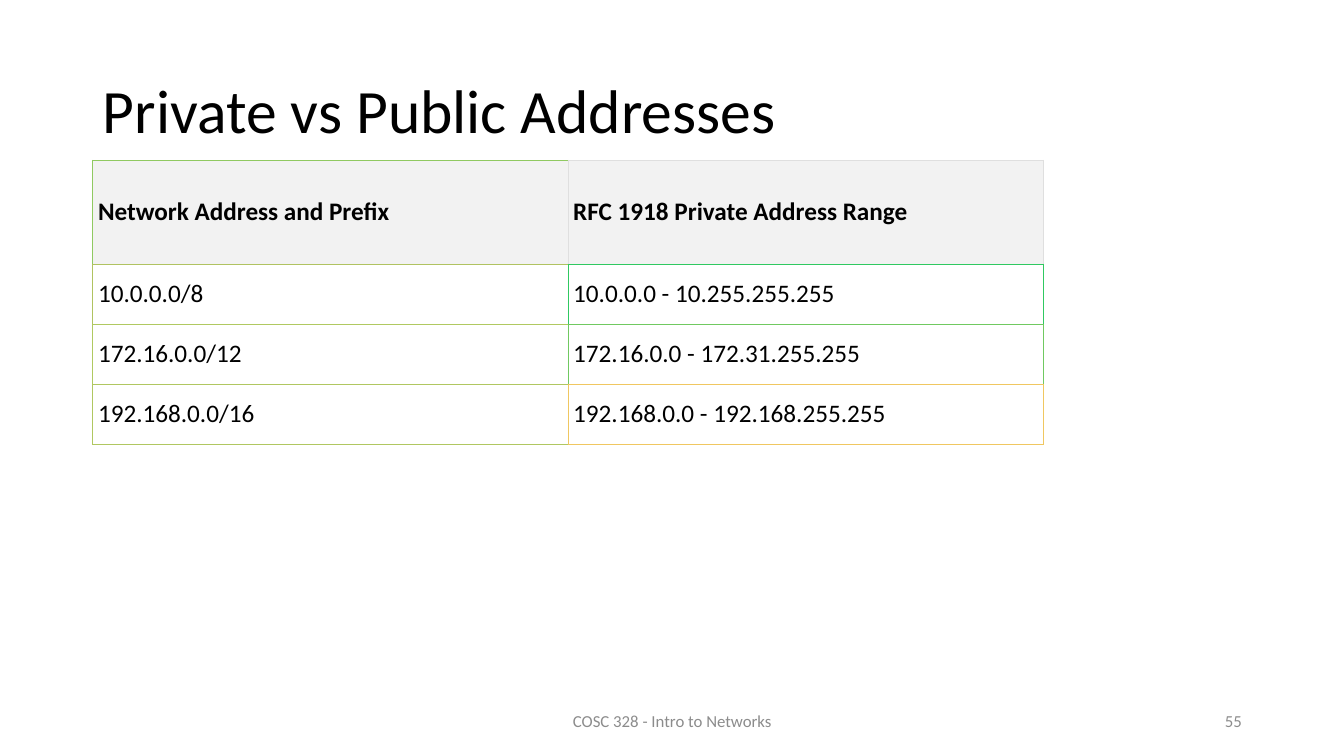
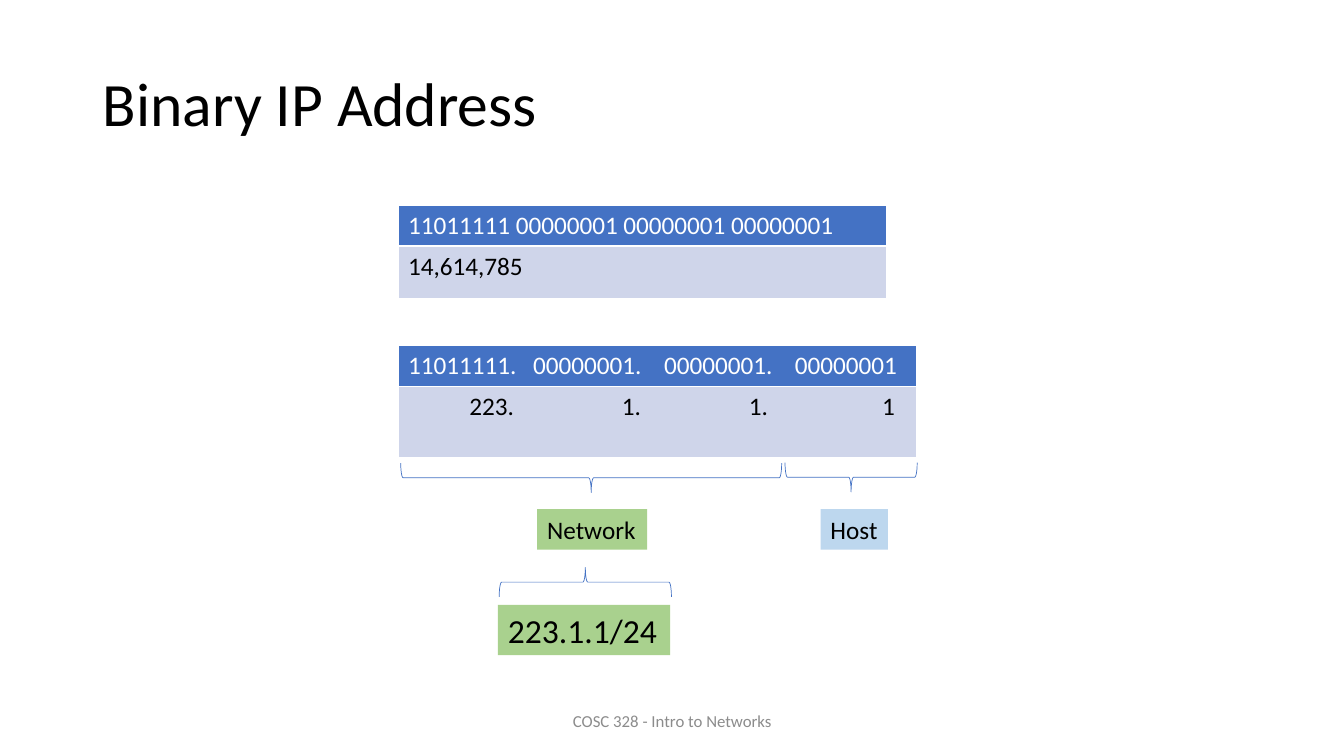
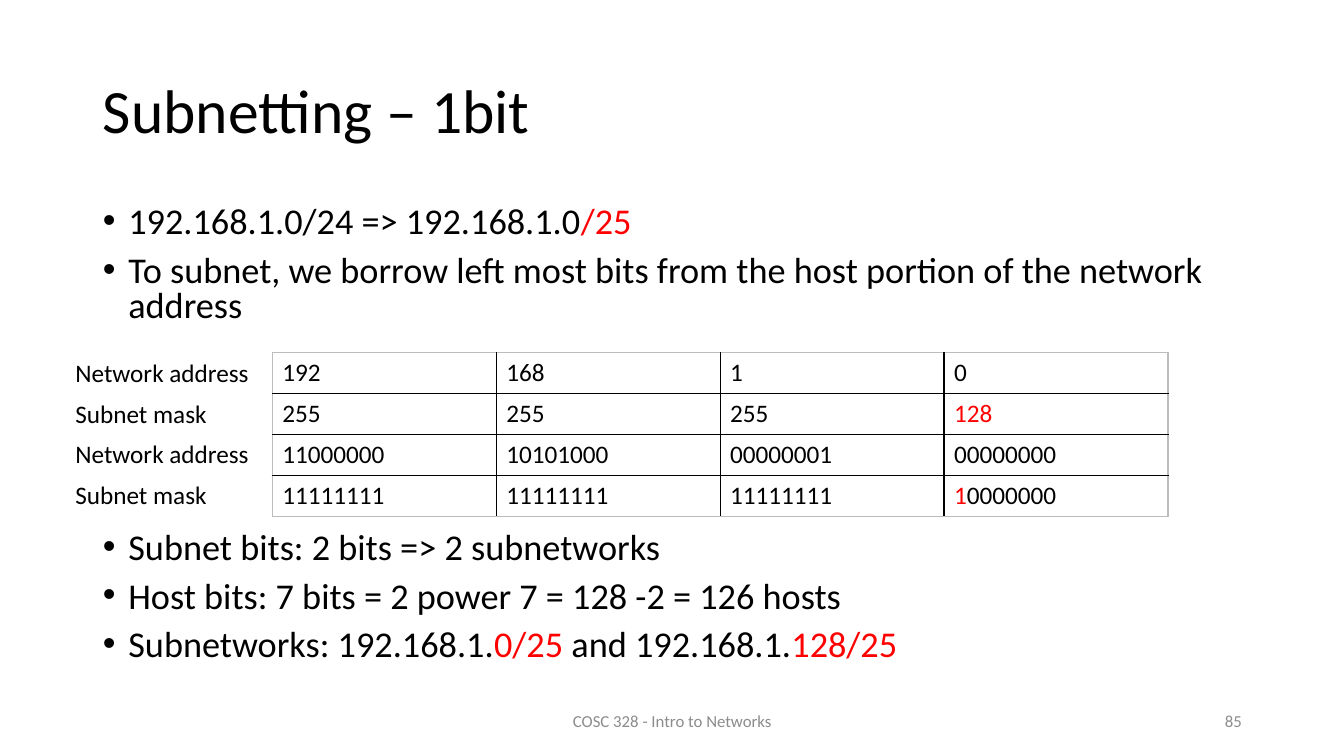
"""Builds three slides on private addresses, binary addresses and subnetting."""
from lxml.etree import SubElement
from pptx import Presentation
from pptx.dml.color import RGBColor
from pptx.enum.shapes import MSO_SHAPE
from pptx.enum.text import MSO_ANCHOR, MSO_AUTO_SIZE, PP_ALIGN
from pptx.oxml.ns import qn
from pptx.util import Cm, Pt

HUES = {"ink": "000000", "red": "FF0000", "grey": "8C8C8C", "white": "FFFFFF",
        "head": "F2F2F2", "blue": "4472C4", "pale": "CFD5EA",
        "green": "A9D18E", "sky": "BDD7EE"}
GRID = "{5940675A-B579-460E-94D1-54222C63F5DA}"

deck = Presentation()
deck.slide_width, deck.slide_height = Cm(33.87), Cm(19.05)


def write(par, text, size=18, hue="ink", bold=False):
    """Fill a paragraph; parts between bars are red."""
    for n, part in enumerate(text.split("|")):
        if part:
            run = par.add_run()
            run.text = part
            for key, val in {"name": "Calibri", "size": Pt(size), "bold": bold}.items():
                setattr(run.font, key, val)
            run.font.color.rgb = RGBColor.from_string(HUES["red" if n % 2 else hue])


def page(layout, title, top=1.02, number=None):
    """Add a slide with its title, footer and number."""
    slide = deck.slides.add_slide(deck.slide_layouts[layout])
    head = slide.shapes.title
    head.left, head.top, head.width, head.height = Cm(2.34), Cm(top), Cm(29.21), Cm(3.68)
    head.text_frame.vertical_anchor = MSO_ANCHOR.MIDDLE
    par = head.text_frame.paragraphs[0]
    par.alignment, par.line_spacing = PP_ALIGN.LEFT, 0.9
    write(par, title, 44)
    notes = [(11.23, 11.43, PP_ALIGN.CENTER, "COSC 328 - Intro to Networks")]
    if number:
        notes.append((23.93, 7.62, PP_ALIGN.RIGHT, number))
    for left, width, align, text in notes:
        box = slide.shapes.add_textbox(Cm(left), Cm(17.65), Cm(width), Cm(1.02))
        box.text_frame.word_wrap = True
        box.text_frame.vertical_anchor = MSO_ANCHOR.MIDDLE
        box.text_frame.paragraphs[0].alignment = align
        write(box.text_frame.paragraphs[0], text, 12, "grey")
    return slide


slide = page(5, "Private vs Public Addresses", number="55")
rows = [("Network Address and Prefix", "RFC 1918 Private Address Range"),
        ("10.0.0.0/8", "10.0.0.0 - 10.255.255.255"),
        ("172.16.0.0/12", "172.16.0.0 - 172.31.255.255"),
        ("192.168.0.0/16", "192.168.0.0 - 192.168.255.255")]
edges = [("90C961", "DFDFDF"), ("B0C361", "30C961"),
         ("B0C961", "70C961"), ("B0C761", "F0C761")]
table = slide.shapes.add_table(4, 2, Cm(2.34), Cm(4.04), Cm(23.95), Cm(7.15)).table
for r, row in enumerate(rows):
    table.rows[r].height = Cm(1.51 if r else 2.62)
    for c, text in enumerate(row):
        cell = table.cell(r, c)
        own, right, below = edges[r][c], edges[r][1], edges[min(r + 1, 3)][c]
        props = cell._tc.get_or_add_tcPr()
        for side, hue in zip("LRTB", (own, right, own, below)):
            line = SubElement(props, qn("a:ln" + side), w=str(Pt(0.75)))
            SubElement(SubElement(line, qn("a:solidFill")), qn("a:srgbClr"), val=hue)
        cell.fill.solid()
        cell.fill.fore_color.rgb = RGBColor.from_string(HUES["white" if r else "head"])
        cell.vertical_anchor = MSO_ANCHOR.MIDDLE
        for side in ("left", "top", "right", "bottom"):
            setattr(cell, "margin_" + side, Cm(0.13))
        write(cell.text_frame.paragraphs[0], text, bold=r == 0)

slide = page(5, "Binary IP Address", 0.84)
blocks = [
    (5.18, 12.32, (1.02, 1.32),
     ("11011111 00000001 00000001 00000001", "14,614,785")),
    (8.71, 13.08, (1.03, 1.79),
     ("11011111.\t00000001.\t00000001.\t00000001", "\t223.\t1.\t1.\t1"))]
stops = [("l", (3.15, 6.45, 9.75)), ("r", (2.67, 5.87, 9.07, 12.27))]
for top, width, highs, texts in blocks:
    table = slide.shapes.add_table(2, 1, Cm(10.03), Cm(top), Cm(width), Cm(sum(highs))).table
    for r, text in enumerate(texts):
        table.rows[r].height = Cm(highs[r])
        cell = table.cell(r, 0)
        cell.fill.solid()
        cell.fill.fore_color.rgb = RGBColor.from_string(HUES["pale" if r else "blue"])
        par = cell.text_frame.paragraphs[0]
        if "\t" in text:
            tabs = SubElement(par._p.get_or_add_pPr(), qn("a:tabLst"))
            align, places = stops[r]
            for place in places:
                SubElement(tabs, qn("a:tab"), pos=str(Cm(place)), algn=align)
        write(par, text, hue="ink" if r else "white")

for left, top, high, turn in [(14.53, 7.24, 9.6, 270), (21.08, 10.36, 3.33, 270),
                              (14.38, 12.5, 4.34, 90)]:
    brace = slide.shapes.add_shape(MSO_SHAPE.LEFT_BRACE, Cm(left), Cm(top), Cm(0.74), Cm(high))
    brace.rotation = turn
    brace.shadow.inherit = False
    brace.fill.background()
    brace.line.color.rgb = RGBColor.from_string(HUES["blue"])
    brace.line.width = Pt(0.5)

for left, top, width, high, hue, size, text in [
        (12.55, 15.24, 4.34, 1.27, "green", 24, "223.1.1/24"),
        (20.68, 12.83, 1.7, 1.02, "sky", 18, "Host"),
        (13.54, 12.83, 2.77, 1.02, "green", 18, "Network")]:
    tag = slide.shapes.add_shape(MSO_SHAPE.RECTANGLE, Cm(left), Cm(top), Cm(width), Cm(high))
    tag.shadow.inherit = False
    tag.fill.solid()
    tag.fill.fore_color.rgb = RGBColor.from_string(HUES[hue])
    tag.line.fill.background()
    tag.text_frame.word_wrap = False
    tag.text_frame.paragraphs[0].alignment = PP_ALIGN.LEFT
    write(tag.text_frame.paragraphs[0], text, size)

slide = page(1, "Subnetting – 1bit", number="85")
body = slide.placeholders[1]
body.left, body.top, body.width, body.height = Cm(2.34), Cm(5.08), Cm(29.21), Cm(12.09)
frame = body.text_frame
frame.auto_size = MSO_AUTO_SIZE.NONE
points = [(0, "192.168.1.0/24 => 192.168.1.0|/25"),
          (10, "To subnet, we borrow left most bits from the host portion of the network address"),
          (148, "Subnet bits: 2 bits => 2 subnetworks"),
          (10, "Host bits: 7 bits = 2 power 7 = 128 -2 = 126 hosts"),
          (10, "Subnetworks: 192.168.1.|0/25| and 192.168.1.|128/25")]
for n, (gap, text) in enumerate(points):
    par = frame.add_paragraph() if n else frame.paragraphs[0]
    props = par._p.get_or_add_pPr()
    props.set("marL", str(Cm(0.64)))
    props.set("indent", str(Cm(-0.64)))
    par.line_spacing, par.space_before = 0.8, Pt(gap)
    write(par, text, 25.9)

rows = [("Network address", "192", "168", "1", "0"),
        ("Subnet mask", "255", "255", "255", "|128"),
        ("Network address", "11000000", "10101000", "00000001", "00000000"),
        ("Subnet mask", "11111111", "11111111", "11111111", "|1|0000000")]
table = slide.shapes.add_table(4, 4, Cm(6.86), Cm(8.89), Cm(22.58), Cm(4.12)).table
table._tbl.tblPr.find(qn("a:tableStyleId")).text = GRID
table.first_row = table.horz_banding = False
for r, (label, *bytes4) in enumerate(rows):
    box = slide.shapes.add_textbox(Cm(1.65), Cm(8.89 + 1.02 * r), Cm(4.93), Cm(1.02))
    box.text_frame.word_wrap = True
    write(box.text_frame.paragraphs[0], label)
    for c, text in enumerate(bytes4):
        cell = table.cell(r, c)
        cell.fill.background()
        write(cell.text_frame.paragraphs[0], text)

deck.save("out.pptx")
